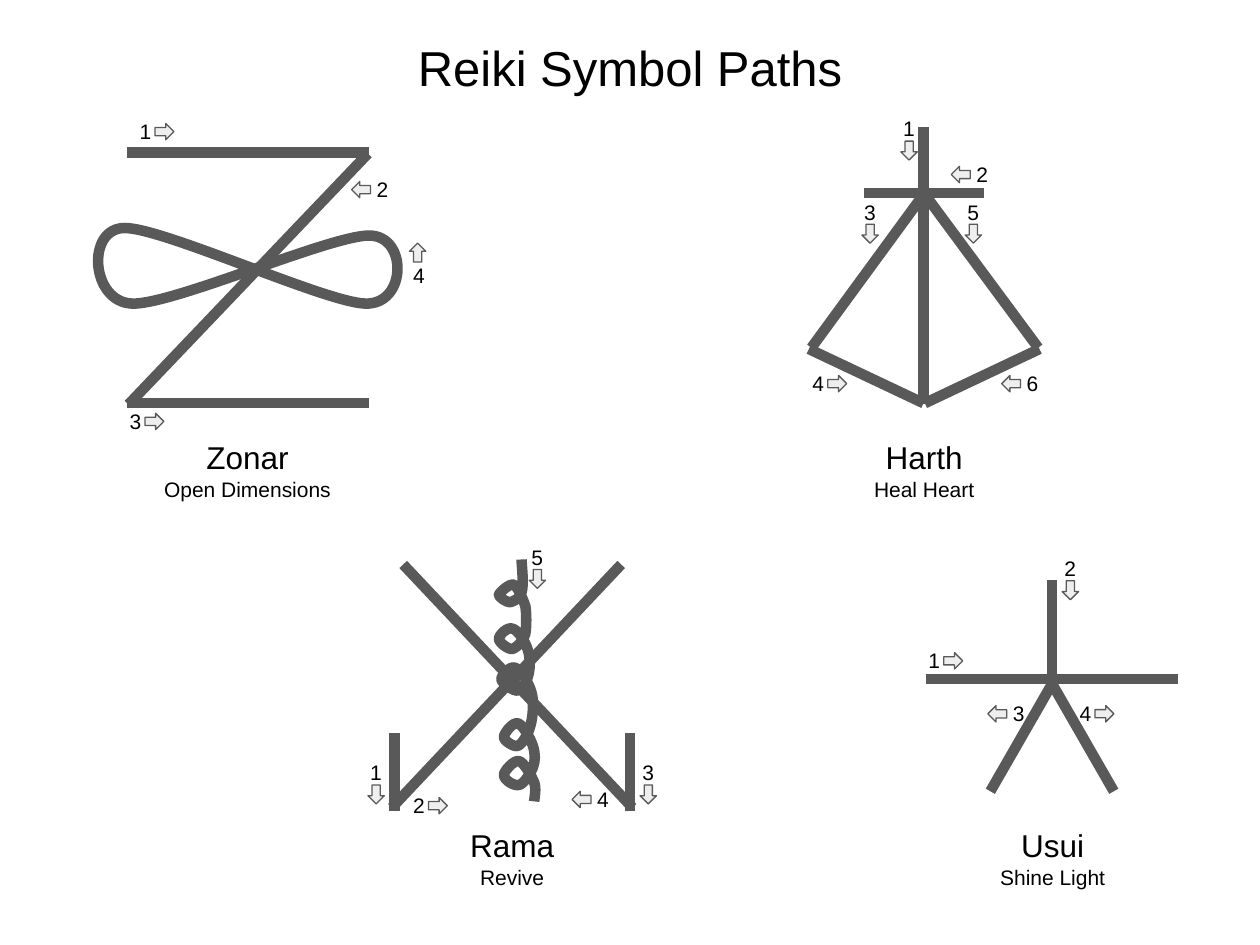
from lxml.etree import SubElement
from pptx import Presentation
from pptx.dml.color import RGBColor
from pptx.enum.shapes import MSO_CONNECTOR as Link, MSO_SHAPE as Preset
from pptx.enum.text import MSO_ANCHOR as Anchor, PP_ALIGN as Align
from pptx.oxml.ns import qn
from pptx.util import Cm, Pt

COLORS = {"stroke": "595959", "arrow": "EEEEEE", "text": "000000"}
FONT = "Arial"
CM_PER_INCH = 2.54
STROKE, OUTLINE = 6, 0.75
LABEL_SIZE = (0.34, 0.37)
CAPTION_SIZE = (2.07, 0.84)
ARROW_SIZE = (0.15, 0.13)
INSET = 0.1
CURVE_STEPS = 24

TITLE = "Reiki Symbol Paths"

INFINITY = [
    (2.93, 1.87),
    (2.62, 1.87, 1.37, 2.42, 1.05, 2.41), (0.72, 2.4, 0.68, 1.81, 0.99, 1.81),
    (1.3, 1.81, 2.58, 2.4, 2.9, 2.41), (3.23, 2.42, 3.24, 1.87, 2.93, 1.87),
]
SPIRAL = [
    (4.14, 4.44),
    (4.14, 4.48, 4.16, 4.64, 4.14, 4.7), (4.13, 4.75, 4.08, 4.77, 4.05, 4.78),
    (4.02, 4.78, 3.96, 4.74, 3.96, 4.72), (3.97, 4.7, 4.04, 4.63, 4.08, 4.64),
    (4.11, 4.66, 4.15, 4.75, 4.17, 4.81), (4.18, 4.87, 4.18, 4.97, 4.17, 5.03),
    (4.15, 5.09, 4.1, 5.14, 4.07, 5.15), (4.04, 5.16, 3.96, 5.1, 3.96, 5.07),
    (3.96, 5.04, 4.03, 4.97, 4.07, 4.99), (4.11, 5, 4.17, 5.09, 4.19, 5.16),
    (4.21, 5.22, 4.21, 5.31, 4.19, 5.37), (4.18, 5.42, 4.15, 5.48, 4.11, 5.48),
    (4.08, 5.49, 3.98, 5.42, 3.98, 5.39), (3.98, 5.36, 4.05, 5.28, 4.09, 5.3),
    (4.13, 5.31, 4.2, 5.42, 4.22, 5.5), (4.24, 5.57, 4.23, 5.69, 4.21, 5.76),
    (4.19, 5.83, 4.15, 5.9, 4.11, 5.92), (4.08, 5.93, 4, 5.88, 4, 5.85),
    (4, 5.82, 4.07, 5.73, 4.11, 5.74), (4.15, 5.75, 4.21, 5.86, 4.23, 5.92),
    (4.25, 5.98, 4.25, 6.04, 4.23, 6.09), (4.21, 6.14, 4.16, 6.22, 4.12, 6.23),
    (4.08, 6.24, 4, 6.19, 4, 6.15), (4, 6.12, 4.08, 6.03, 4.12, 6.04),
    (4.16, 6.05, 4.22, 6.16, 4.24, 6.21), (4.26, 6.26, 4.24, 6.34, 4.24, 6.36),
]

SYMBOLS = [
    {
        "name": "Zonar", "meaning": "Open Dimensions", "caption": (0.93, 3.38),
        "strokes": [(1.01, 1.21, 2.93, 1.21), (1.01, 3.2, 2.93, 3.2),
                    (2.92, 1.22, 1.02, 3.21)],
        "curve": INFINITY,
        "labels": [("1", 1.01, 0.84, "right"), ("3", 0.93, 3.14, "right"),
                   ("2", 2.89, 1.3, "left"), ("4", 3.18, 1.98, "up")],
    },
    {
        "name": "Harth", "meaning": "Heal Heart", "caption": (6.3, 3.38),
        "strokes": [(7.33, 1.01, 7.33, 3.21), (7.81, 1.53, 6.86, 1.53),
                    (7.34, 1.53, 6.44, 2.76), (6.42, 2.77, 7.33, 3.2),
                    (7.33, 1.53, 8.24, 2.76), (8.25, 2.77, 7.34, 3.2)],
        "labels": [("2", 7.65, 1.18, "left"), ("1", 7.07, 0.82, "down"),
                   ("3", 6.76, 1.48, "down"), ("5", 7.58, 1.48, "down"),
                   ("4", 6.35, 2.84, "right"), ("6", 8.05, 2.84, "left")],
    },
    {
        "name": "Rama", "meaning": "Revive", "caption": (3.03, 6.46),
        "curve": SPIRAL,
        "strokes": [(4.93, 4.48, 3.11, 6.41), (3.13, 6.44, 3.13, 5.82),
                    (3.2, 4.48, 5.02, 6.41), (5, 6.44, 5, 5.82)],
        "labels": [("2", 3.18, 6.19, "right"), ("3", 5, 5.93, "down"),
                   ("1", 2.84, 5.93, "down"), ("4", 4.64, 6.14, "left"),
                   ("5", 4.12, 4.22, "down")],
    },
    {
        "name": "Usui", "meaning": "Shine Light", "caption": (7.32, 6.46),
        "strokes": [(8.35, 4.6, 8.35, 5.39), (7.35, 5.39, 9.35, 5.39),
                    (8.36, 5.41, 7.86, 6.28), (8.34, 5.41, 8.84, 6.28)],
        "labels": [("1", 7.27, 5.04, "right"), ("2", 8.35, 4.31, "down"),
                   ("3", 7.94, 5.46, "left"), ("4", 8.47, 5.46, "right")],
    },
]

ARROWS = {
    "right": (0.22, 0.14, 0), "down": (0.07, 0.31, 90),
    "left": (-0.1, 0.14, 180), "up": (0.06, -0.04, 270),
}


def size(inches):
    return Cm(inches * CM_PER_INCH)


def sizes(*values):
    return [size(value) for value in values]


def color(name):
    return RGBColor.from_string(COLORS[name])


def set_line(shape, width):
    shape.line.color.rgb = color("stroke")
    shape.line.width = Pt(width)


def write(box, lines, align):
    frame = box.text_frame
    frame.word_wrap = True
    frame.vertical_anchor = Anchor.TOP
    frame.margin_left = frame.margin_right = size(INSET)
    frame.margin_top = frame.margin_bottom = size(INSET)
    for index, (text, points) in enumerate(lines):
        para = frame.add_paragraph() if index else frame.paragraphs[0]
        para.alignment = align
        span = para.add_run()
        span.text = text
        span.font.name = FONT
        span.font.size = Pt(points)
        span.font.color.rgb = color("text")


def add_stroke(group, ends):
    stroke = group.shapes.add_connector(Link.STRAIGHT, *sizes(*ends))
    set_line(stroke, STROKE)
    SubElement(stroke._element.spPr, qn("a:effectLst"))


def bezier_point(points, t):
    weights = ((1 - t) ** 3, 3 * t * (1 - t) ** 2, 3 * t * t * (1 - t), t ** 3)
    return tuple(sum(w * p[axis] for w, p in zip(weights, points)) for axis in (0, 1))


def add_curve(group, curve):
    start, *segments = [sizes(*values) for values in curve]
    pairs = [list(zip(values[::2], values[1::2])) for values in segments]
    outline, previous = [], start
    for pair in pairs:
        outline += [bezier_point([previous, *pair], step / CURVE_STEPS)
                    for step in range(1, CURVE_STEPS + 1)]
        previous = pair[-1]
    closed = list(previous) == start
    builder = group.shapes.build_freeform(*start)
    builder.add_line_segments(outline, close=closed)
    shape = builder.convert_to_shape()
    left = min(x for x, _ in [start, *outline])
    top = min(y for _, y in [start, *outline])
    track = next(shape._element.iter(qn("a:path")))
    for node in list(track):
        track.remove(node)
    for tag, points in [("moveTo", [start])] + [("cubicBezTo", p) for p in pairs]:
        node = SubElement(track, qn("a:" + tag))
        for x, y in points:
            SubElement(node, qn("a:pt"), x=str(round(x - left)), y=str(round(y - top)))
    if closed:
        SubElement(track, qn("a:close"))
    shape.shadow.inherit = False
    shape.fill.background()
    set_line(shape, STROKE)


def add_label(page, text, left, top, direction):
    box = page.shapes.add_textbox(*sizes(left, top, *LABEL_SIZE))
    write(box, [(text, 12)], Align.LEFT)
    across, down, turn = ARROWS[direction]
    arrow = page.shapes.add_shape(
        Preset.RIGHT_ARROW, *sizes(left + across, top + down, *ARROW_SIZE))
    arrow.rotation = turn
    arrow.shadow.inherit = False
    arrow.fill.solid()
    arrow.fill.fore_color.rgb = color("arrow")
    set_line(arrow, OUTLINE)


def main():
    deck = Presentation()
    deck.slide_width, deck.slide_height = sizes(10, 7.5)
    page = deck.slides.add_slide(deck.slide_layouts[5])
    title = page.shapes.title
    title.left, title.top, title.width, title.height = sizes(0.34, 0.17, 9.32, 0.83)
    write(title, [(TITLE, 28)], Align.CENTER)
    title.text_frame.margin_top = size(0.13)
    for symbol in SYMBOLS:
        group = page.shapes.add_group_shape()
        if "curve" in symbol:
            add_curve(group, symbol["curve"])
        for ends in symbol["strokes"]:
            add_stroke(group, ends)
        for label in symbol["labels"]:
            add_label(page, *label)
        caption = page.shapes.add_textbox(*sizes(*symbol["caption"], *CAPTION_SIZE))
        write(caption, [(symbol["name"], 18), (symbol["meaning"], 12)], Align.CENTER)
    deck.save("out.pptx")


if __name__ == "__main__":
    main()
